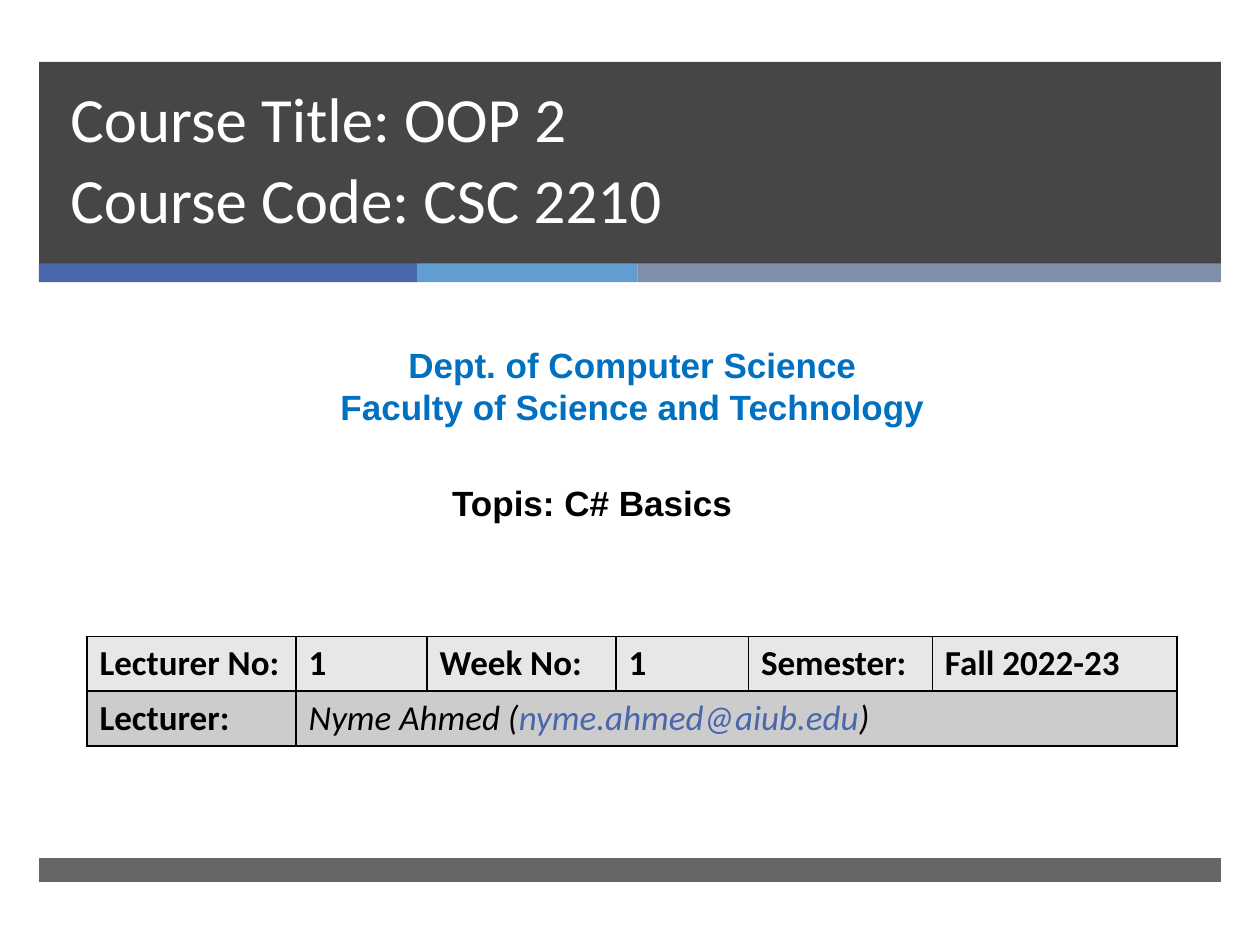
from typing import NamedTuple

from lxml.etree import SubElement
from pptx import Presentation
from pptx.dml.color import RGBColor
from pptx.enum.shapes import MSO_SHAPE
from pptx.enum.text import MSO_ANCHOR, PP_ALIGN
from pptx.oxml.ns import qn
from pptx.util import Inches, Pt

HUES = {
    "dark": "262626", "blue": "4A66AC", "sky": "629DD1", "slate": "7F8FA9",
    "white": "FFFFFF", "black": "000000", "dept": "0070C0",
    "light": "E7E7E7", "grey": "CCCCCC",
}


class Bar(NamedTuple):
    """A filled band across part of the slide."""
    left: float
    top: float
    width: float
    height: float
    hue: str
    alpha: int = 100


BARS = [
    Bar(0.31, 0.49, 9.38, 1.61, "dark", 85),
    Bar(0.31, 2.09, 3, 0.15, "blue"),
    Bar(3.31, 2.09, 1.75, 0.15, "sky"),
    Bar(5.06, 2.09, 4.63, 0.15, "slate"),
    Bar(0.31, 6.81, 9.38, 0.19, "dark", 70),
]
COLS = [1.66, 1.04, 1.5, 1.05, 1.46, 1.94]
HEAD = ["Lecturer No:", "1", "Week No:", "1", "Semester:", "Fall 2022-23"]


def color(hue: str) -> RGBColor:
    """Return the named colour."""
    return RGBColor.from_string(HUES[hue])


def write(para, text: str, *, size=20, font="Calibri", hue="black",
          bold=False, italic=False, align=None) -> None:
    """Add formatted text to a paragraph, breaking lines at newlines."""
    if align is not None:
        para.alignment = align
    for num, line in enumerate(text.split("\n")):
        if num:
            para.add_line_break()
        run = para.add_run()
        run.text = line
        run.font.size = Pt(size)
        run.font.name = font
        run.font.bold = bold
        run.font.italic = italic
        run.font.color.rgb = color(hue)


def add_bar(slide, bar: Bar) -> None:
    """Draw a band, see-through where its alpha is below 100."""
    shape = slide.shapes.add_shape(
        MSO_SHAPE.RECTANGLE, *(Inches(side) for side in bar[:4]))
    shape.shadow.inherit = False
    shape.line.fill.background()
    shape.fill.solid()
    shape.fill.fore_color.rgb = color(bar.hue)
    if bar.alpha < 100:
        node = shape.fill._xPr.find(".//" + qn("a:srgbClr"))
        SubElement(node, qn("a:alpha"), val=str(bar.alpha * 1000))


def add_box(slide, left: float, top: float, width: float, height: float):
    """Add a wrapping text box and return its frame."""
    frame = slide.shapes.add_textbox(
        Inches(left), Inches(top), Inches(width), Inches(height)).text_frame
    frame.word_wrap = True
    return frame


def style_cell(cell, hue: str) -> None:
    """Give a cell black borders and a plain fill."""
    props = cell._tc.get_or_add_tcPr()
    for side in ("lnL", "lnR", "lnT", "lnB"):
        line = SubElement(props, qn("a:" + side), w=str(Pt(1)))
        fill = SubElement(line, qn("a:solidFill"))
        SubElement(fill, qn("a:srgbClr"), val=HUES["black"])
    cell.fill.solid()
    cell.fill.fore_color.rgb = color(hue)


def add_grid(slide) -> None:
    """Add the table of lecture details."""
    grid = slide.shapes.add_table(
        2, len(COLS), Inches(0.69), Inches(5.05),
        Inches(sum(COLS)), Inches(0.87)).table
    grid.first_row = grid.horz_banding = False
    for col, width in zip(grid.columns, COLS):
        col.width = Inches(width)
    for row, hue in zip(grid.rows, ("light", "grey")):
        for cell in row.cells:
            style_cell(cell, hue)
    grid.cell(1, 1).merge(grid.cell(1, len(COLS) - 1))
    for col, text in enumerate(HEAD):
        write(grid.cell(0, col).text_frame.paragraphs[0], text, bold=True)
    write(grid.cell(1, 0).text_frame.paragraphs[0], "Lecturer:", bold=True)
    para = grid.cell(1, 1).text_frame.paragraphs[0]
    write(para, "Nyme Ahmed (", italic=True)
    write(para, "nyme.ahmed@aiub.edu", italic=True, hue="blue")
    write(para, ")", italic=True)


def main() -> None:
    """Build and save the course title slide."""
    deck = Presentation()
    deck.slide_width, deck.slide_height = Inches(10), Inches(7.5)
    slide = deck.slides.add_slide(deck.slide_layouts[6])
    for bar in BARS:
        add_bar(slide, bar)

    title = add_box(slide, 0.46, 0.73, 8.54, 1.19)
    title.vertical_anchor = MSO_ANCHOR.BOTTOM
    para = title.paragraphs[0]
    para.line_spacing = Pt(46)
    write(para, "Course Title: OOP 2\nCourse Code: CSC 2210",
          size=36, hue="white")

    dept = add_box(slide, 0.69, 2.68, 8.66, 1.11)
    look = dict(font="Arial", hue="dept", bold=True, align=PP_ALIGN.CENTER)
    write(dept.paragraphs[0], "Dept. of Computer Science", **look)
    write(dept.add_paragraph(), "Faculty of Science and Technology", **look)

    add_grid(slide)
    topic = add_box(slide, 3.49, 3.77, 2.48, 0.44)
    write(topic.paragraphs[0], "Topis: C# Basics", font="Arial", bold=True,
          align=PP_ALIGN.JUSTIFY)
    deck.save("out.pptx")


if __name__ == "__main__":
    main()
